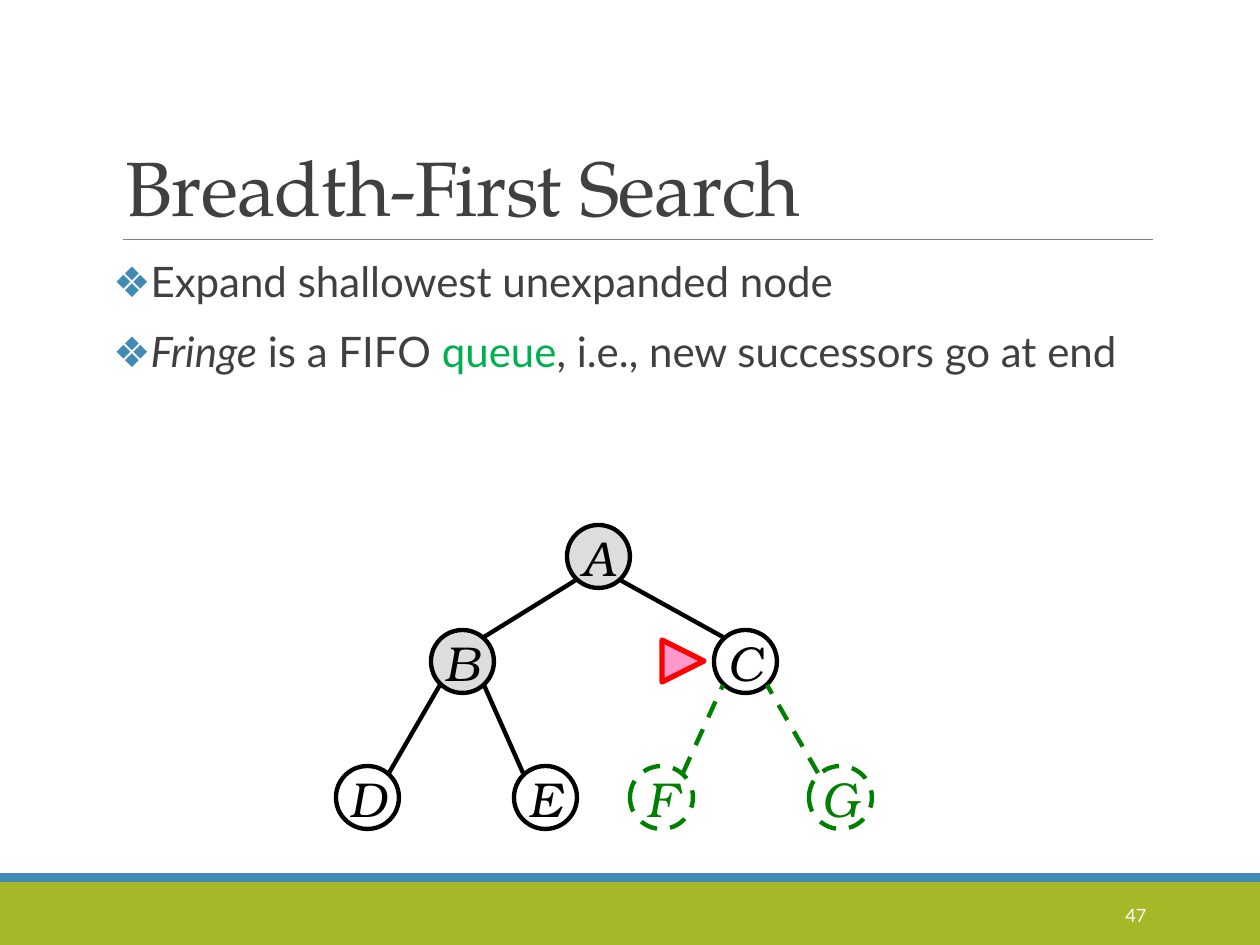
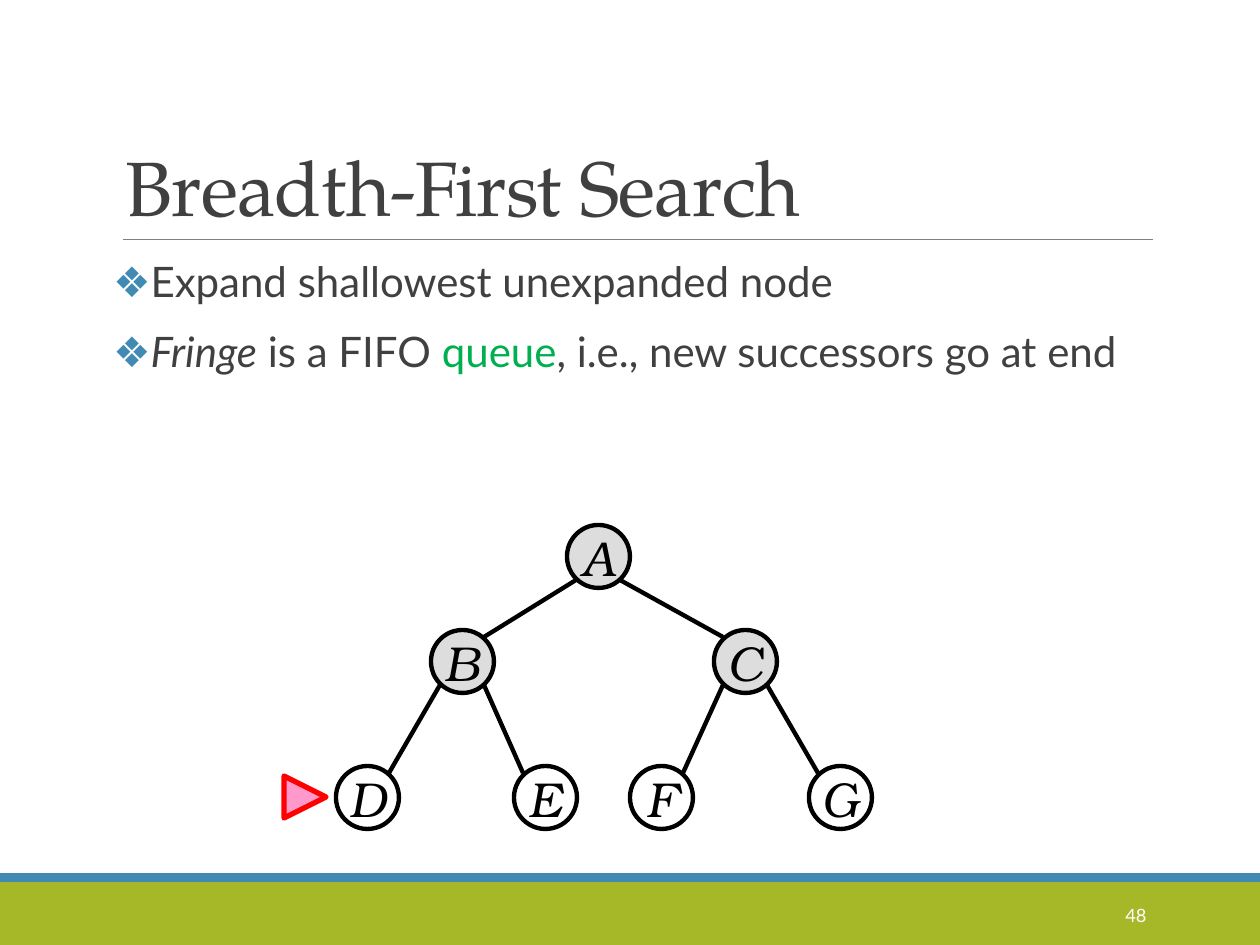
from dataclasses import dataclass

from lxml.etree import SubElement
from pptx import Presentation
from pptx.dml.color import RGBColor
from pptx.enum.dml import MSO_LINE
from pptx.enum.shapes import MSO_CONNECTOR, MSO_SHAPE
from pptx.enum.text import MSO_ANCHOR, MSO_AUTO_SIZE, PP_ALIGN
from pptx.oxml.ns import qn
from pptx.util import Emu, Pt


@dataclass(frozen=True)
class Theme:
    ink: str = "404040"
    rule: str = "808080"
    band: str = "A6B727"
    accent: str = "418AB3"
    highlight: str = "00B050"
    white: str = "FFFFFF"
    expanded: str = "DDDDDD"
    solid: str = "000000"
    pending: str = "008000"
    marker_fill: str = "FF99CC"
    marker_line: str = "FF0000"
    title_font: str = "TeX Gyre Pagella"
    body_font: str = "Lato"
    node_font: str = "TeX Gyre Bonum"
    title_size: float = 44
    body_size: float = 24
    node_size: float = 28
    page_size: float = 10.5
    edge_width: float = 2.5
    marker_width: float = 3


THEME = Theme()


def px(*lengths):
    """Turn pixels (126 to the inch) into EMU."""
    return [Emu(round(length * 914400 / 126)) for length in lengths]


def paint(target, fill=None, line=None, width=0.5, dashed=False):
    """Style a shape or a connector; without a colour, fill or line is off."""
    if hasattr(target, "fill"):
        target.shadow.inherit = False
        if fill:
            target.fill.solid()
            target.fill.fore_color.rgb = RGBColor.from_string(fill)
        else:
            target.fill.background()
    else:
        SubElement(target._element.spPr, qn("a:effectLst"))
    if line:
        target.line.color.rgb = RGBColor.from_string(line)
        target.line.width = Pt(width)
        if dashed:
            target.line.dash_style = MSO_LINE.DASH
    else:
        target.line.fill.background()


TITLE = "Breadth-First Search"
BULLETS = [
    [("Expand shallowest unexpanded node", THEME.ink, False)],
    [("Fringe", THEME.ink, True), (" is a FIFO ", THEME.ink, False),
     ("queue", THEME.highlight, False),
     (", i.e., new successors go at end", THEME.ink, False)],
]
BULLET_FORMAT = {"line_spacing": 0.9, "space_before": Pt(12), "space_after": Pt(2)}
BANDS = [((0, 882, 1260, 63), THEME.band), ((0, 873, 1260, 9), THEME.accent)]

# Node centres; each level shares one height.
CENTRES = {"A": (598, 556), "B": (462, 661), "C": (745, 661),
           "D": (367, 797), "E": (545, 797), "F": (661, 797), "G": (840, 797)}
PARENTS = {"B": "A", "C": "A", "D": "B", "E": "B", "F": "C", "G": "C"}
NODE = 63
EDGE_DX, EDGE_DY = 22, 24
MARKER, MARKER_GAP = 42, 83

STEPS = [
    {"page": "47", "expanded": "AB", "pending": "FG", "current": "C"},
    {"page": "48", "expanded": "ABC", "pending": "", "current": "D"},
]

prs = Presentation()
prs.slide_width, prs.slide_height = px(1260, 945)

for step in STEPS:
    slide = prs.slides.add_slide(prs.slide_layouts[5])
    shapes = slide.shapes

    for box, colour in BANDS:
        paint(shapes.add_shape(MSO_SHAPE.RECTANGLE, *px(*box)), fill=colour)
    title_rule = shapes.add_connector(MSO_CONNECTOR.STRAIGHT, *px(123, 239, 1153, 239))
    paint(title_rule, line=THEME.rule)

    title = shapes.title
    title.left, title.top, title.width, title.height = px(113, 39, 1040, 200)
    title.text_frame.text = TITLE
    title.text_frame.auto_size = MSO_AUTO_SIZE.NONE
    title.text_frame.vertical_anchor = MSO_ANCHOR.BOTTOM
    heading = title.text_frame.paragraphs[0]
    heading.alignment, heading.line_spacing = PP_ALIGN.LEFT, 0.85
    for name, value in {"name": THEME.title_font, "size": Pt(THEME.title_size)}.items():
        setattr(heading.runs[0].font, name, value)
    heading.runs[0].font.color.rgb = RGBColor.from_string(THEME.ink)
    heading.runs[0]._r.get_or_add_rPr().set("spc", "-50")

    body = shapes.add_textbox(*px(113, 255, 1040, 554)).text_frame
    body.word_wrap = True
    body.margin_left = body.margin_right = 0
    for index, pieces in enumerate(BULLETS):
        bullet = body.add_paragraph() if index else body.paragraphs[0]
        for name, value in BULLET_FORMAT.items():
            setattr(bullet, name, value)
        props = bullet._p.get_or_add_pPr()
        indent = px(36)[0]
        props.set("marL", str(indent))
        props.set("indent", str(-indent))
        bullet_colour = SubElement(props, qn("a:buClr"))
        SubElement(bullet_colour, qn("a:srgbClr"), val=THEME.accent)
        SubElement(props, qn("a:buFont"), typeface=THEME.body_font)
        SubElement(props, qn("a:buChar"), char="❖")
        for words, colour, italic in pieces:
            run = bullet.add_run()
            run.text = words
            run.font.color.rgb = RGBColor.from_string(colour)
            body_format = {"name": THEME.body_font, "size": Pt(THEME.body_size),
                           "italic": italic}
            for name, value in body_format.items():
                setattr(run.font, name, value)

    page = shapes.add_textbox(*px(1023, 890, 136, 50)).text_frame
    page.word_wrap = True
    page.vertical_anchor = MSO_ANCHOR.MIDDLE
    page.text = step["page"]
    number = page.paragraphs[0]
    number.alignment = PP_ALIGN.RIGHT
    for name, value in {"name": THEME.body_font, "size": Pt(THEME.page_size)}.items():
        setattr(number.runs[0].font, name, value)
    number.runs[0].font.color.rgb = RGBColor.from_string(THEME.white)

    for letter, (x, y) in CENTRES.items():
        dashed = letter in step["pending"]
        colour = THEME.pending if dashed else THEME.solid
        stroke = {"line": colour, "width": THEME.edge_width, "dashed": dashed}

        node = shapes.add_shape(
            MSO_SHAPE.OVAL, *px(x - NODE // 2, y - NODE // 2, NODE, NODE))
        paint(node, fill=THEME.expanded if letter in step["expanded"] else None, **stroke)
        label = node.text_frame
        label.text = letter
        label.word_wrap = False
        label.vertical_anchor = MSO_ANCHOR.MIDDLE
        label.paragraphs[0].alignment = PP_ALIGN.CENTER
        font = label.paragraphs[0].runs[0].font
        node_format = {"name": THEME.node_font, "size": Pt(THEME.node_size),
                       "italic": True}
        for name, value in node_format.items():
            setattr(font, name, value)
        font.color.rgb = RGBColor.from_string(colour)

        if letter in PARENTS:
            parent_x, parent_y = CENTRES[PARENTS[letter]]
            dx = EDGE_DX if parent_x > x else -EDGE_DX
            edge = shapes.add_connector(
                MSO_CONNECTOR.STRAIGHT,
                *px(x + dx, y - EDGE_DY, parent_x - dx, parent_y + EDGE_DY))
            paint(edge, **stroke)

    x, y = CENTRES[step["current"]]
    marker = shapes.add_shape(
        MSO_SHAPE.FLOWCHART_EXTRACT,
        *px(x - MARKER_GAP, y - MARKER // 2, MARKER, MARKER))
    marker.rotation = 90
    paint(marker, THEME.marker_fill, THEME.marker_line, THEME.marker_width)

prs.save("out.pptx")
